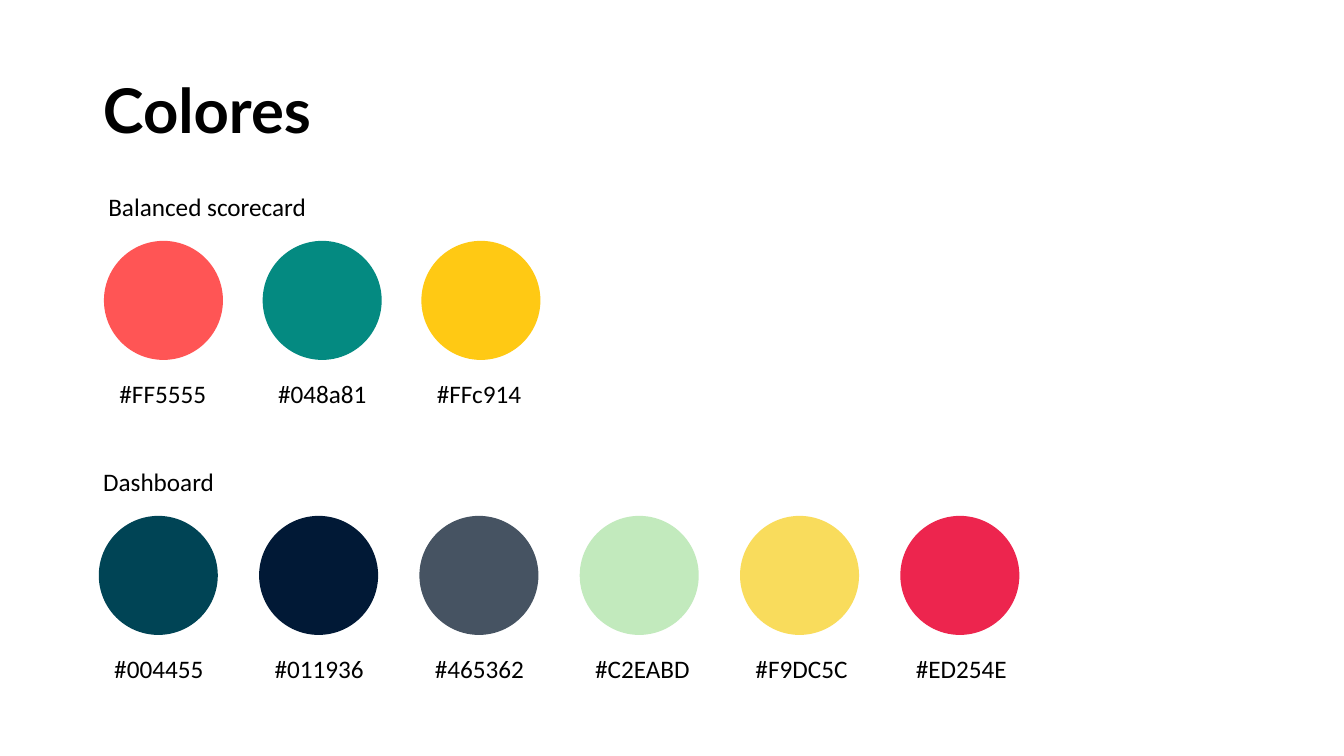
from dataclasses import dataclass

from pptx import Presentation
from pptx.dml.color import RGBColor
from pptx.enum import shapes, text
from pptx.slide import Slide
from pptx.text.text import TextFrame
from pptx.util import Cm, Pt


@dataclass(frozen=True)
class Theme:
    ink: RGBColor = RGBColor(0, 0, 0)
    title_font: str = "Lato"
    body_font: str = "Calibri"
    title_size: int = 44
    body_size: int = 18


@dataclass(frozen=True)
class Palette:
    """A headed row of colour circles; lengths are in centimetres."""
    heading: str
    left: float
    top: float
    pitch: float
    codes: tuple[str, ...]


THEME = Theme()
CIRCLE_SIZE = 3.0
TEXT_HEIGHT = 1.02
HEADING_WIDTH = 5.8
PALETTES = (
    Palette("Balanced scorecard", 2.62, 6.07, 4.0,
            ("#FF5555", "#048a81", "#FFc914")),
    Palette("Dashboard", 2.49, 13.0, 4.04,
            ("#004455", "#011936", "#465362", "#C2EABD", "#F9DC5C", "#ED254E")),
)


def write(frame: TextFrame, wording: str, font: str, size: int, bold: bool = False) -> None:
    frame.text = wording
    frame.word_wrap = True
    span = frame.paragraphs[0].runs[0]
    span.font.name = font
    span.font.size = Pt(size)
    span.font.bold = bold
    span.font.color.rgb = THEME.ink


def add_title(page: Slide, wording: str) -> None:
    title = page.shapes.title
    title.left, title.top = Cm(2.34), Cm(1.02)
    title.width, title.height = Cm(29.21), Cm(3.68)
    frame = title.text_frame
    write(frame, wording, THEME.title_font, THEME.title_size, bold=True)
    frame.vertical_anchor = text.MSO_ANCHOR.MIDDLE
    para = frame.paragraphs[0]
    para.alignment = text.PP_ALIGN.LEFT
    para.line_spacing = 0.9


def add_caption(page: Slide, wording: str, left: float, top: float, width: float) -> None:
    box = page.shapes.add_textbox(Cm(left), Cm(top), Cm(width), Cm(TEXT_HEIGHT))
    write(box.text_frame, wording, THEME.body_font, THEME.body_size)


def add_circle(page: Slide, code: str, left: float, top: float) -> None:
    circle = page.shapes.add_shape(shapes.MSO_SHAPE.OVAL, Cm(left), Cm(top),
                                   Cm(CIRCLE_SIZE), Cm(CIRCLE_SIZE))
    circle.shadow.inherit = False
    circle.fill.solid()
    circle.fill.fore_color.rgb = RGBColor.from_string(code.lstrip("#").upper())
    circle.line.fill.background()


def add_palette(page: Slide, palette: Palette) -> None:
    add_caption(page, palette.heading, palette.left - 0.14, palette.top - 1.37, HEADING_WIDTH)
    for index, code in enumerate(palette.codes):
        left = palette.left + index * palette.pitch
        add_circle(page, code, left, palette.top)
        add_caption(page, code, left + 0.14, palette.top + 3.35, CIRCLE_SIZE)


def main() -> None:
    deck = Presentation()
    deck.slide_width, deck.slide_height = Cm(33.87), Cm(19.05)
    page = deck.slides.add_slide(deck.slide_layouts.get_by_name("Title Only"))
    add_title(page, "Colores")
    for palette in PALETTES:
        add_palette(page, palette)
    deck.save("out.pptx")


if __name__ == "__main__":
    main()
